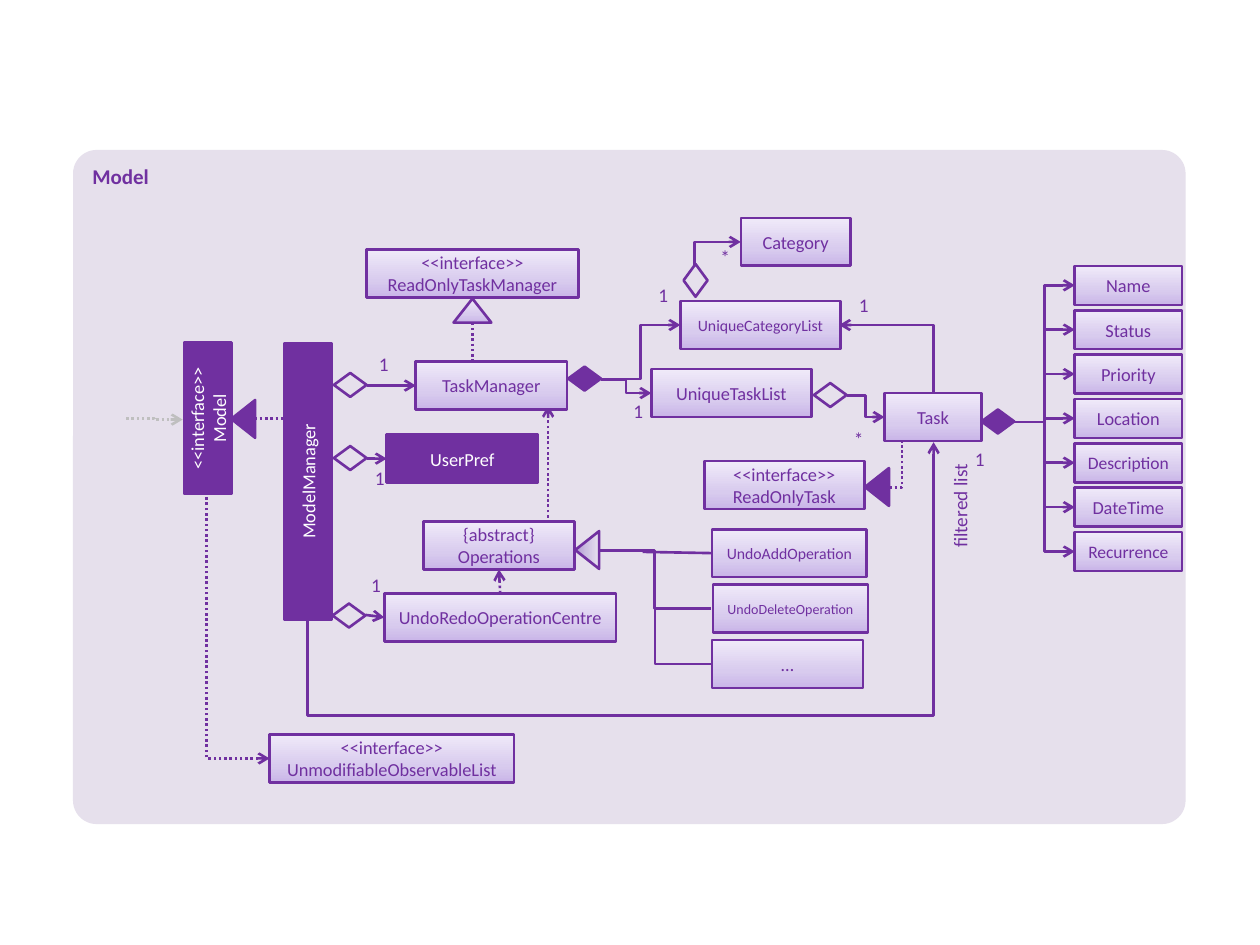
from copy import deepcopy

from pptx import Presentation, util as u
from pptx.dml.color import RGBColor
from pptx.enum import dml, shapes, text
from pptx.oxml import ns, xmlchemy as x

# The slide is a grid of 100 columns by 75 rows; all places are in cells
CELL = u.Inches(10) // 100
PURPLE, WHITE, GREY, PANEL = "7030A0", "FFFFFF", "BFBFBF", "E6E0EC"
LILAC = ((0, "C9B5E8"), (0.35, "D8CBEE"), (1, "F0EAF9"))
VIOLET = ((0, "B197D2"), (0.5, "CEC1E2"), (1, "E7E1F0"))
BOX_H = 3.8
DIAMOND_W, DIAMOND_H = 2.6, 1.9
TRI_W, TRI_H = 3.0, 1.9
KIND = shapes.MSO_SHAPE
CENTRE = text.PP_ALIGN.CENTER


def cells(*values):
    return [int(v * CELL) for v in values]


def color(hex_code):
    return RGBColor.from_string(hex_code)


def apply(obj, formats):
    for name, value in formats.items():
        setattr(obj, name, value)


def write(s, label, size, hex_code=PURPLE, align=CENTRE, bold=None):
    tf = s.text_frame
    tf.text = label
    for p in tf.paragraphs:
        p.alignment = align
        for r in p.runs:
            apply(r.font, {"name": "Calibri", "size": u.Pt(size), "bold": bold})
            r.font.color.rgb = color(hex_code)
    return tf


def paint(s, fill, angle=90):
    """Fill with a hex colour, gradient stops, or nothing."""
    if fill is None:
        s.fill.background()
    elif isinstance(fill, str):
        s.fill.solid()
        s.fill.fore_color.rgb = color(fill)
    else:
        s.fill.gradient()
        s.fill.gradient_angle = angle
        stops = s._element.spPr.find(ns.qn("a:gradFill")).find(ns.qn("a:gsLst"))
        stops.append(deepcopy(stops[-1]))
        for stop, (position, hex_code) in zip(s.fill.gradient_stops, fill):
            stop.position = position
            stop.color.rgb = color(hex_code)


def shape(sp, kind, at, fill, rot=0, line=PURPLE, angle=90):
    s = sp.add_shape(kind, *cells(*at))
    s.shadow.inherit = False
    s.rotation = rot
    paint(s, fill, angle)
    if line:
        s.line.color.rgb = color(line)
        s.line.width = u.Pt(1.5)
    else:
        s.line.fill.background()
    return s


def box(sp, label, left, top, width, height=BOX_H, size=10.5, fill=LILAC, rot=0):
    s = shape(sp, KIND.RECTANGLE, (left, top, width, height), fill, rot)
    ink = WHITE if fill == PURPLE else PURPLE
    tf = write(s, label, size, ink)
    apply(tf, {"vertical_anchor": text.MSO_ANCHOR.MIDDLE, "word_wrap": True})


def diamond(sp, left, top, fill=None, rot=0):
    shape(sp, KIND.FLOWCHART_DECISION, (left, top, DIAMOND_W, DIAMOND_H), fill, rot)


def triangle(sp, left, top, fill, rot=0, angle=90):
    shape(sp, KIND.ISOSCELES_TRIANGLE, (left, top, TRI_W, TRI_H), fill, rot, angle=angle)


def multiplicity(sp, label, left, top):
    tf = write(sp.add_textbox(*cells(left, top, 2.1, 2)), label, 11)
    apply(tf, {"word_wrap": True, "margin_left": 0, "margin_right": 0,
               "margin_top": 0, "margin_bottom": 0})


def connect(sp, start, end, preset="line", arrow=None, dotted=False,
            line=PURPLE, rot=0, adj=None):
    """Draw a connector; arrow is headEnd (at start) or tailEnd (at end).

    bentConnector2 leaves its start sideways and reaches its end vertically.
    """
    kind = shapes.MSO_CONNECTOR
    c = sp.add_connector(kind.STRAIGHT if preset == "line" else kind.ELBOW,
                         *cells(*start, *end))
    c.line.color.rgb = color(line)
    c.line.width = u.Pt(1.5)
    if dotted:
        c.line.dash_style = dml.MSO_LINE.ROUND_DOT
    spPr = c._element.spPr
    geom = spPr.find(ns.qn("a:prstGeom"))
    geom.set("prst", preset)
    if adj is not None:
        guide = x.OxmlElement("a:gd")
        guide.set("name", "adj1")
        guide.set("fmla", f"val {int(adj * 100000)}")
        geom.find(ns.qn("a:avLst")).append(guide)
    if rot:
        spPr.find(ns.qn("a:xfrm")).set("rot", str(rot * 60000))
    if arrow:
        tip = x.OxmlElement(f"a:{arrow}")
        tip.set("type", "arrow")
        spPr.find(ns.qn("a:ln")).append(tip)
    spPr.append(x.OxmlElement("a:effectLst"))


def panel(sp):
    s = shape(sp, KIND.ROUNDED_RECTANGLE, (5.8, 11.9, 88.3, 53.5), PANEL, line=None)
    s.adjustments[0] = 0.035
    tf = write(s, "Model", 12, align=text.PP_ALIGN.LEFT, bold=True)
    apply(tf, {"vertical_anchor": text.MSO_ANCHOR.TOP, "word_wrap": True})


def boxes(sp):
    box(sp, "UserPref", 30.7, 34.5, 12, fill=PURPLE)
    box(sp, "ModelManager", 13.5, 36.3, 21.9, fill=PURPLE, rot=270)
    box(sp, "<<interface>>\nModel", 10.5, 31.3, 12, fill=PURPLE, rot=270)
    for label, left, top, width, size in (
            ("TaskManager", 33, 28.7, 12, 10.5),
            ("UniqueTaskList", 51.7, 29.3, 12.7, 10.5),
            ("UniqueCategoryList", 54, 23.9, 12.7, 9),
            ("Task", 70.2, 31.2, 7.7, 10.5),
            ("Category", 58.8, 17.3, 8.7, 10.5),
            ("<<interface>>\nReadOnlyTask", 55.9, 36.6, 12.7, 10.5),
            ("<<interface>>\nReadOnlyTaskManager", 29.1, 19.8, 16.8, 10.5),
            ("<<interface>>\nUnmodifiableObservableList", 21.4, 58.3, 19.4, 10.5),
            ("UndoRedoOperationCentre", 30.5, 47.1, 18.4, 10.5),
            ("{abstract}\nOperations", 33.6, 41.4, 12, 10.5),
            ("UndoAddOperation", 56.5, 42, 12.3, 9),
            ("UndoDeleteOperation", 56.6, 46.4, 12.3, 8),
            ("…", 56.5, 50.8, 12, 10.5)):
        box(sp, label, left, top, width, size=size)


def task_fields(sp):
    fields = ("Name", "Status", "Priority", "Location",
              "Description", "DateTime", "Recurrence")
    for i, label in enumerate(fields):
        top = 21.1 + i * 3.52
        size = 10 if label in ("Description", "Recurrence") else 10.5
        box(sp, label, 85.3, top, 8.5, 3.1, size)
        connect(sp, (80.5, 33.5), (85.3, top + 1.55), "bentConnector3", "tailEnd")


def symbols(sp):
    for left, top in ((26.5, 35.4), (26.5, 29.6), (64.6, 30.4), (26.4, 47.9)):
        diamond(sp, left, top)
    diamond(sp, 53.9, 21.3, rot=270)
    for left, top in ((45.1, 29.1), (77.9, 32.5)):
        diamond(sp, left, top, PURPLE)
    triangle(sp, 17.8, 32.3, PURPLE, 270)
    triangle(sp, 68.1, 37.7, PURPLE, 270)
    triangle(sp, 36, 23.7, LILAC)
    triangle(sp, 45.1, 42.7, VIOLET, 270, angle=270)


def connectors(sp):
    # Straight arrows and lines
    for start, end in (((29.1, 36.4), (30.7, 36.4)), ((29.1, 30.6), (33, 30.6)),
                       ((29, 48.8), (30.5, 49))):
        connect(sp, start, end, arrow="tailEnd")
    connect(sp, (51, 43.8), (56.5, 43.9))
    for start, end, arrow in (((20.2, 33.2), (22.6, 33.2), None),
                              ((37.5, 25.6), (37.5, 28.8), None),
                              ((39.7, 47.1), (39.6, 45.2), "tailEnd"),
                              ((43.5, 41.5), (43.5, 32.2), "tailEnd")):
        connect(sp, start, end, arrow=arrow, dotted=True)
    connect(sp, (10, 33.2), (14.5, 33.3), "bentConnector3", "tailEnd", True, GREY)

    # Two bends
    for start, end in (((47.7, 30.1), (51.7, 31.2)), ((47.7, 30.1), (54, 25.8)),
                       ((67.2, 31.4), (70.2, 33.1))):
        connect(sp, start, end, "bentConnector3", "tailEnd")
    connect(sp, (47.5, 43.7), (56.4, 48.3), "bentConnector3")
    connect(sp, (56.3, 67), (42.2, 17.3), "bentConnector3", "tailEnd",
            rot=90, adj=-0.538)

    # One bend
    for start, end, arrow, dotted in (
            ((70.6, 38.7), (71.6, 34.1 + 1), None, True),
            ((58.8, 19.2), (55.1, 21), "headEnd", False),
            ((21.4, 60.2), (16.4, 39.2), "headEnd", True),
            ((66.6, 25.8), (74.1, 31.2), "headEnd", False),
            ((56.8, 52.7), (52, 44), None, False)):
        connect(sp, start, end, "bentConnector2", arrow, dotted)


def labels(sp):
    for label, left, top in (("1", 51.6, 22.5), ("1", 49.6, 31.7), ("1", 67.5, 23.3),
                             ("*", 56.5, 19.5), ("*", 67.1, 33.9), ("1", 29.4, 28),
                             ("1", 29.1, 37), ("1", 76.7, 35.5), ("1", 28.8, 45.5)):
        multiplicity(sp, label, left, top)
    s = sp.add_textbox(*cells(71.4, 39.2, 9.6, 2.9))
    s.rotation = 270
    write(s, "filtered list", 11, align=text.PP_ALIGN.RIGHT).word_wrap = True


def main():
    prs = Presentation()
    apply(prs, {"slide_width": 100 * CELL, "slide_height": 75 * CELL})
    sp = prs.slides.add_slide(prs.slide_layouts[6]).shapes
    for part in (panel, connectors, boxes, task_fields, symbols, labels):
        part(sp)
    prs.save("out.pptx")


if __name__ == "__main__":
    main()
